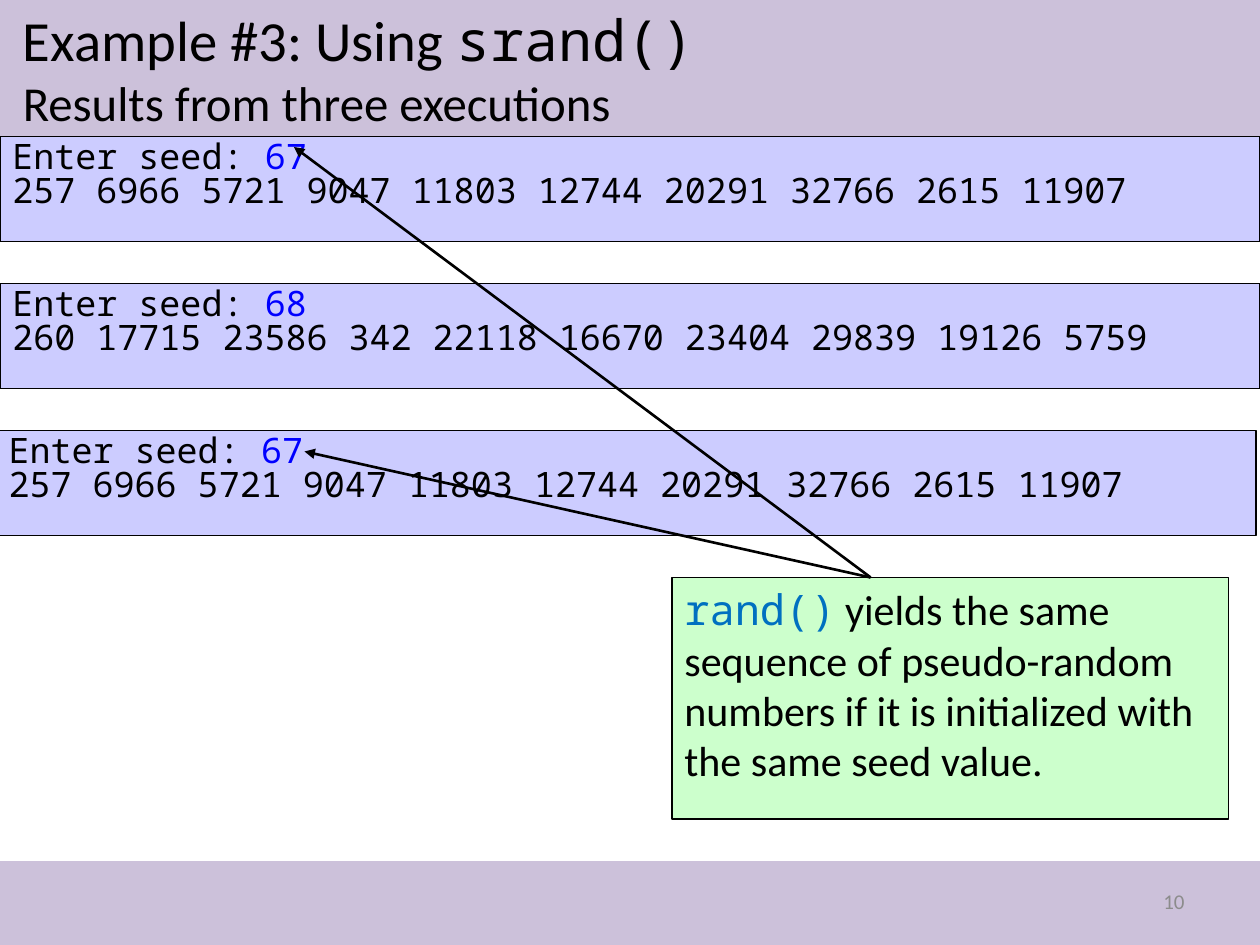
from dataclasses import dataclass

from lxml.etree import SubElement
from pptx import Presentation
from pptx.dml.color import RGBColor as Color
from pptx.enum.shapes import MSO_CONNECTOR as Connector, MSO_SHAPE as Shape
from pptx.enum.text import MSO_ANCHOR as Anchor, PP_ALIGN as Align
from pptx.oxml.ns import qn
from pptx.util import Inches, Pt


@dataclass(frozen=True)
class Theme:
    sans: str = "Calibri"
    mono: str = "Noto Sans Mono"
    ink: str = "000000"
    band: str = "CCC1DA"
    output: str = "CCCCFF"
    note: str = "CCFFCC"
    seed: str = "0000FF"
    code: str = "0070C0"
    muted: str = "8C8C8C"
    title_size: float = 32.4
    subtitle_size: float = 27.9
    note_size: float = 24
    output_size: float = 20
    number_size: float = 12
    border: float = 0.75
    arrow: float = 1.5


class SlideBuilder:
    """Places elements on a grid of 120 columns and 90 rows."""

    def __init__(self, presentation, theme):
        self.theme = theme
        self.column = presentation.slide_width / 120
        self.row = presentation.slide_height / 90
        self.slide = presentation.slides.add_slide(presentation.slide_layouts[6])

    def place(self, left, top, *extent):
        units = (self.column, self.row) * 2
        return [round(n * unit) for n, unit in zip((left, top, *extent), units)]

    def style(self, size, font=None, color=None):
        return {"size": Pt(size), "name": font or self.theme.sans,
                "color": color or self.theme.ink}

    def set_text(self, shape, paragraphs, anchor=Anchor.TOP, **paragraph_format):
        """Each paragraph is a list of (text, style); None is a line break."""
        frame = shape.text_frame
        frame.word_wrap = True
        frame.vertical_anchor = anchor
        paragraph_format = {"alignment": Align.LEFT, **paragraph_format}
        for index, runs in enumerate(paragraphs):
            paragraph = frame.add_paragraph() if index else frame.paragraphs[0]
            for name, value in paragraph_format.items():
                setattr(paragraph, name, value)
            for item in runs:
                if item is None:
                    paragraph.add_line_break()
                    continue
                text, style = item
                run = paragraph.add_run()
                run.text = text
                for name, value in style.items():
                    if name == "color":
                        run.font.color.rgb = Color.from_string(value)
                    else:
                        setattr(run.font, name, value)

    def text(self, area, paragraphs, **text_format):
        box = self.slide.shapes.add_textbox(*self.place(*area))
        self.set_text(box, paragraphs, **text_format)

    def panel(self, area, fill, paragraphs=(), bordered=True, **text_format):
        panel = self.slide.shapes.add_shape(Shape.RECTANGLE, *self.place(*area))
        panel.shadow.inherit = False
        panel.fill.solid()
        panel.fill.fore_color.rgb = Color.from_string(fill)
        if bordered:
            panel.line.color.rgb = Color.from_string(self.theme.ink)
            panel.line.width = Pt(self.theme.border)
        else:
            panel.line.fill.background()
        self.set_text(panel, paragraphs, **text_format)

    def output(self, left, top, seed, numbers):
        theme = self.theme
        plain = self.style(theme.output_size, theme.mono)
        lines = [[("Enter seed: ", plain), (seed, {**plain, "color": theme.seed})],
                 [(numbers, plain)]]
        self.panel((left, top, 120, 10), theme.output, lines, line_spacing=0.8)

    def arrow(self, start, end):
        connector = self.slide.shapes.add_connector(
            Connector.STRAIGHT, *self.place(*start), *self.place(*end))
        connector.line.color.rgb = Color.from_string(self.theme.ink)
        connector.line.width = Pt(self.theme.arrow)
        properties = connector.element.spPr
        SubElement(properties.find(qn("a:ln")), qn("a:tailEnd"), type="triangle")
        SubElement(properties, qn("a:effectLst"))


def main():
    presentation = Presentation()
    presentation.slide_width, presentation.slide_height = Inches(10), Inches(7.5)
    theme = Theme()
    builder = SlideBuilder(presentation, theme)
    style = builder.style

    # Header and footer bands
    for top, height in ((0, 13), (82, 8)):
        builder.panel((0, top, 120, height), theme.band, bordered=False)

    # Slide number
    builder.text((86, 83.4, 28, 4.8),
                 [[("10", style(theme.number_size, color=theme.muted))]],
                 anchor=Anchor.MIDDLE, alignment=Align.RIGHT)

    # Title
    builder.text((1, 1, 118, 11),
                 [[("Example #3: Using ", style(theme.title_size)),
                   ("srand()", style(theme.title_size, theme.mono)), None,
                   ("Results from three executions", style(theme.subtitle_size))]],
                 anchor=Anchor.MIDDLE)

    # Program output, one panel per execution
    first_run = "257 6966 5721 9047 11803 12744 20291 32766 2615 11907"
    second_run = "260 17715 23586 342 22118 16670 23404 29839 19126 5759"
    executions = ((0, "67", first_run), (0, "68", second_run),
                  (-0.36, "67", first_run))
    for index, (left, seed, numbers) in enumerate(executions):
        builder.output(left, 13 + 14 * index, seed, numbers)

    # Explanation
    builder.panel((64, 55, 53, 23), theme.note,
                  [[("rand()", style(theme.note_size, theme.mono, theme.code)),
                    (" yields the same sequence of pseudo-random numbers if it is "
                     "initialized with the same seed value.", style(theme.note_size))]])

    # Arrows from the explanation to the matching seeds
    for seed_point in ((28, 14), (29, 43)):
        builder.arrow((82.92, 55), seed_point)

    presentation.save("out.pptx")


if __name__ == "__main__":
    main()
